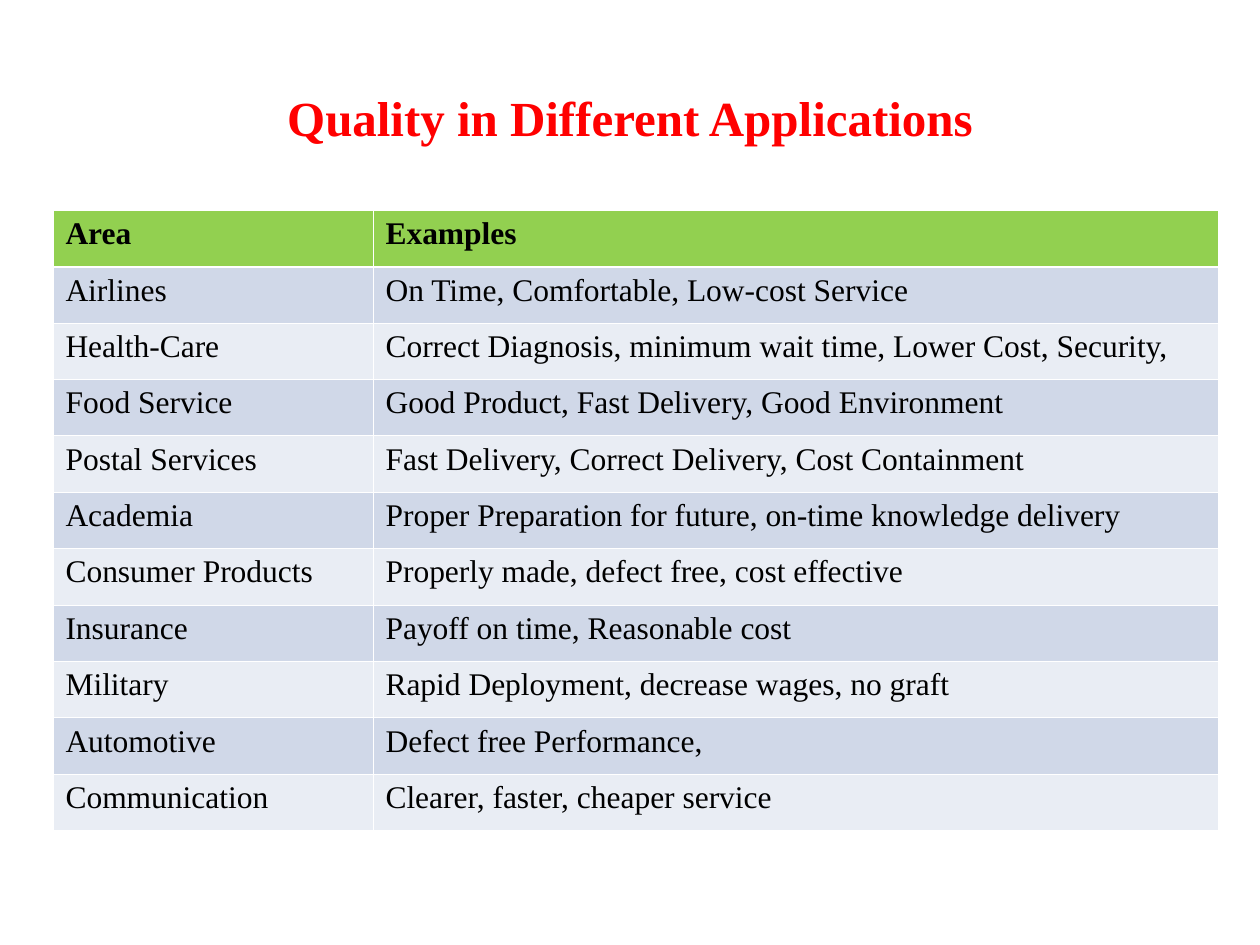
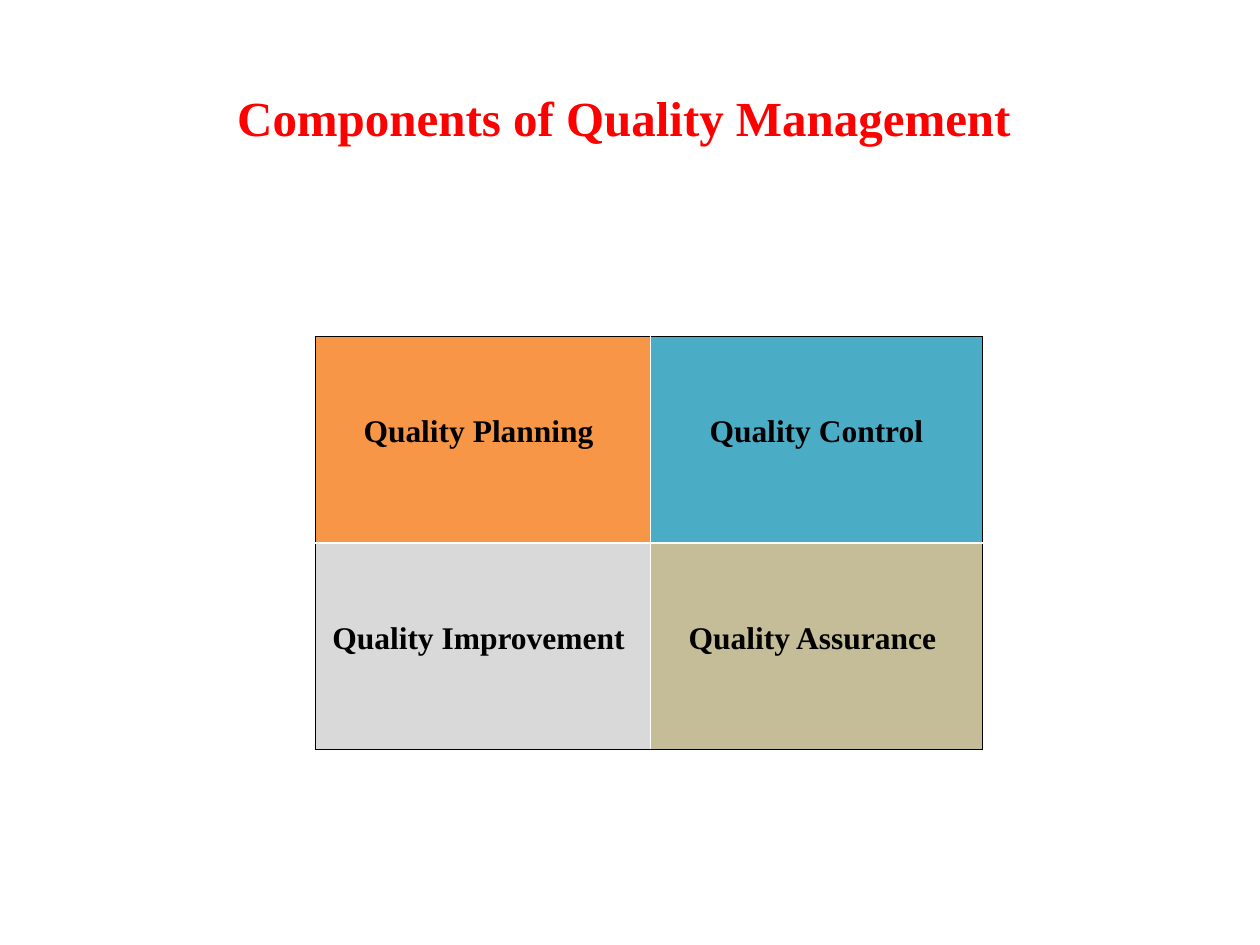
from dataclasses import dataclass

import lxml.etree
import pptx
import pptx.dml.color
import pptx.enum.text
import pptx.oxml.ns
import pptx.slide
import pptx.table
import pptx.text.text
import pptx.util

Inches = pptx.util.Inches
Pt = pptx.util.Pt
CENTER = pptx.enum.text.PP_ALIGN.CENTER
LEFT = pptx.enum.text.PP_ALIGN.LEFT
MIDDLE = pptx.enum.text.MSO_ANCHOR.MIDDLE

COLORS = {
    "title": "FF0000",
    "black": "000000",
    "white": "FFFFFF",
    "header": "92D050",
    "band_dark": "D0D8E8",
    "band_light": "E9EDF4",
    "planning": "F79646",
    "control": "4BACC6",
    "improvement": "D9D9D9",
    "assurance": "C4BD97",
}
TITLE_FONT = {"name": "Times New Roman", "size": Pt(28), "bold": True}
BODY_FONT = {"name": "Times New Roman", "size": Pt(18), "bold": False}
BOLD_FONT = BODY_FONT | {"bold": True}
THIN, THICK = Pt(0.45), Pt(1.47)


@dataclass
class Cell:
    text: str
    fill: str
    font: dict


@dataclass
class Grid:
    left: float
    top: float
    col_widths: list[float]
    height: float
    rows: list[list[Cell]]
    outline: str
    align: pptx.enum.text.PP_ALIGN = LEFT
    margin_top: float = 0.05


APPLICATIONS = [
    ("Area", "Examples"),
    ("Airlines", "On Time, Comfortable, Low-cost Service"),
    ("Health-Care", "Correct Diagnosis, minimum wait time, Lower Cost, Security,"),
    ("Food Service", "Good Product, Fast Delivery, Good Environment"),
    ("Postal Services", "Fast Delivery, Correct Delivery, Cost Containment"),
    ("Academia", "Proper Preparation for future, on-time knowledge delivery"),
    ("Consumer Products", "Properly made, defect free, cost effective"),
    ("Insurance", "Payoff on time, Reasonable cost"),
    ("Military", "Rapid Deployment, decrease wages, no graft"),
    ("Automotive", "Defect free Performance,"),
    ("Communication", "Clearer, faster, cheaper service"),
]
COMPONENTS = [
    [("Quality Planning ", "planning"), ("Quality Control", "control")],
    [("Quality Improvement ", "improvement"), ("Quality Assurance ", "assurance")],
]


def rgb(color: str) -> pptx.dml.color.RGBColor:
    return pptx.dml.color.RGBColor.from_string(COLORS[color])


def write(tf: pptx.text.text.TextFrame, text: str, font: dict, color: str,
          align: pptx.enum.text.PP_ALIGN) -> None:
    p = tf.paragraphs[0]
    p.alignment = align
    r = p.add_run()
    r.text = text
    for name, value in font.items():
        setattr(r.font, name, value)
    r.font.color.rgb = rgb(color)


def add_title(s: pptx.slide.Slide, text: str) -> None:
    sp = s.shapes.add_textbox(Inches(0.5), Inches(0.3), Inches(9), Inches(1.25))
    tf = sp.text_frame
    tf.word_wrap = True
    tf.vertical_anchor = MIDDLE
    write(tf, text, TITLE_FONT, "title", CENTER)


def add_border(cell: pptx.table._Cell, side: str, color: str, width: int) -> None:
    qn = pptx.oxml.ns.qn
    ln = lxml.etree.SubElement(cell._tc.get_or_add_tcPr(), qn(f"a:ln{side}"), w=str(width))
    fill = lxml.etree.SubElement(ln, qn("a:solidFill"))
    lxml.etree.SubElement(fill, qn("a:srgbClr"), val=COLORS[color])


def add_borders(cell: pptx.table._Cell, row: int, col: int, grid: Grid) -> None:
    """Colour the outer edges, keep inner lines white, and thicken the line below row 0."""
    last_row, last_col = len(grid.rows) - 1, len(grid.col_widths) - 1
    sides = [
        ("L", col == 0, THIN),
        ("R", col == last_col, THIN),
        ("T", row == 0, THICK if row == 1 else THIN),
        ("B", row == last_row, THICK if row == 0 else THIN),
    ]
    for side, is_outer, width in sides:
        add_border(cell, side, grid.outline if is_outer else "white", width)


def add_grid(s: pptx.slide.Slide, grid: Grid) -> None:
    table = s.shapes.add_table(
        len(grid.rows), len(grid.col_widths), Inches(grid.left), Inches(grid.top),
        Inches(sum(grid.col_widths)), Inches(grid.height)).table
    table.first_row = table.horz_banding = False
    for column, width in zip(table.columns, grid.col_widths):
        column.width = Inches(width)
    for i, row in enumerate(grid.rows):
        for j, item in enumerate(row):
            cell = table.cell(i, j)
            add_borders(cell, i, j, grid)
            cell.fill.solid()
            cell.fill.fore_color.rgb = rgb(item.fill)
            cell.margin_top = Inches(grid.margin_top)
            write(cell.text_frame, item.text, item.font, "black", grid.align)


def applications_grid() -> Grid:
    header, *body = APPLICATIONS
    rows = [[Cell(text, "header", BOLD_FONT) for text in header]]
    for i, texts in enumerate(body):
        band = "band_light" if i % 2 else "band_dark"
        rows.append([Cell(text, band, BODY_FONT) for text in texts])
    return Grid(0.42, 1.67, [2.54, 6.71], 4.92, rows, "white")


def components_grid() -> Grid:
    rows = [[Cell(text, fill, BOLD_FONT) for text, fill in row] for row in COMPONENTS]
    return Grid(2.5, 2.67, [2.66, 2.64], 3.28, rows, "black", CENTER, 0.62)


def main() -> None:
    prs = pptx.Presentation()
    prs.slide_width, prs.slide_height = Inches(10), Inches(7.5)
    for title, grid in [
        ("Quality in Different Applications", applications_grid()),
        ("Components of Quality Management ", components_grid()),
    ]:
        s = prs.slides.add_slide(prs.slide_layouts[6])
        add_title(s, title)
        add_grid(s, grid)
    prs.save("out.pptx")


if __name__ == "__main__":
    main()
